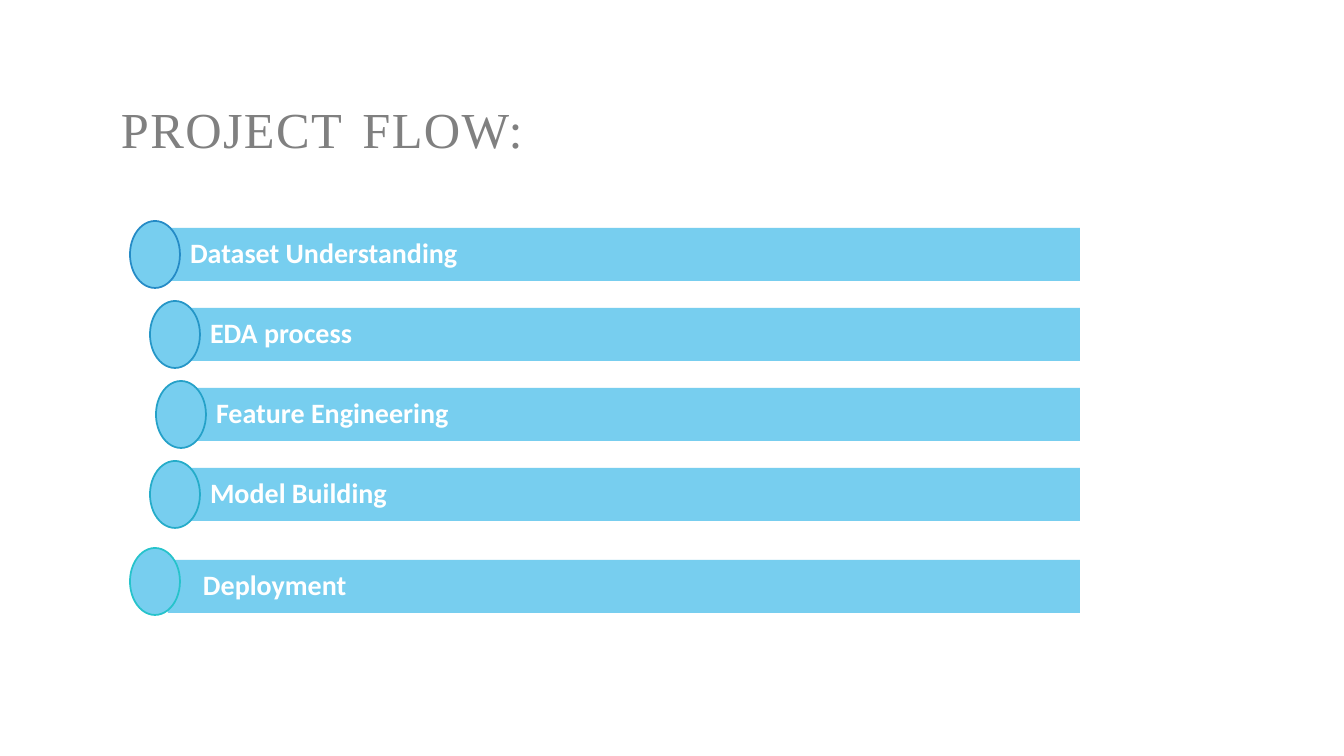
from dataclasses import dataclass

from pptx import Presentation
from pptx.dml.color import RGBColor
from pptx.enum.shapes import MSO_SHAPE as Preset
from pptx.enum.text import MSO_ANCHOR as Anchor, MSO_AUTO_SIZE as AutoSize, PP_ALIGN as Align
from pptx.util import Emu, Pt

PX = 914400 / 100.8


@dataclass(frozen=True)
class Theme:
    heading: str = "808080"
    band: str = "77CEEF"
    label: str = "FFFFFF"
    heading_font: str = "Times New Roman"
    label_font: str = "Calibri"
    heading_size: int = 36
    gap_size: int = 50
    label_size: int = 20
    outline: float = 1.25


THEME = Theme()

BAND_RIGHT, BAND_HEIGHT = 1080, 53
MARKER_WIDTH, MARKER_HEIGHT = 50, 67

# Step, marker centre x, marker top, band left, band top, marker outline
STEPS = [
    ("Dataset Understanding", 155, 221, 155, 228, "258BC6"),
    ("EDA process", 175, 301, 175, 308, "2596C7"),
    ("Feature Engineering", 181, 381, 181, 388, "25A1C8"),
    ("Model Building", 175, 461, 175, 468, "25ACC9"),
    ("Deployment", 155, 548, 168, 560, "26C3CB"),
]


def px(length):
    return Emu(round(length * PX))


def rgb(code):
    return RGBColor.from_string(code)


def add_run(paragraph, text, font, size, color, bold=False):
    run = paragraph.add_run()
    run.text = text
    run.font.name = font
    run.font.size = Pt(size)
    run.font.bold = bold
    run.font.color.rgb = rgb(color)
    return run


def set_insets(frame, left, top, right, bottom):
    frame.margin_left, frame.margin_top = px(left), px(top)
    frame.margin_right, frame.margin_bottom = px(right), px(bottom)


def add_heading(slide):
    heading = slide.shapes.title
    heading.left, heading.top = px(111), px(54)
    heading.width, heading.height = px(998), px(114)
    frame = heading.text_frame
    frame.word_wrap = True
    frame.auto_size = AutoSize.NONE
    frame.vertical_anchor = Anchor.BOTTOM
    set_insets(frame, 10, 5, 10, 5)
    paragraph = frame.paragraphs[0]
    paragraph.alignment = Align.LEFT
    paragraph.line_spacing = 0.85
    words = [
        ("PROJECT", THEME.heading_size, False),
        (" ", THEME.gap_size, True),
        ("FLOW:", THEME.heading_size, False),
    ]
    for text, size, bold in words:
        run = add_run(paragraph, text, THEME.heading_font, size, THEME.heading, bold)
        run.font._element.set("spc", "100")  # one point of letter spacing


def add_filled(slide, preset, left, top, width, height):
    shape = slide.shapes.add_shape(preset, px(left), px(top), px(width), px(height))
    shape.shadow.inherit = False
    shape.fill.solid()
    shape.fill.fore_color.rgb = rgb(THEME.band)
    return shape


def add_band(slide, step, left, top):
    band = add_filled(slide, Preset.RECTANGLE, left, top, BAND_RIGHT - left, BAND_HEIGHT)
    band.line.fill.background()
    frame = band.text_frame
    frame.word_wrap = True
    frame.vertical_anchor = Anchor.MIDDLE
    set_insets(frame, 35, 6, 6, 6)
    paragraph = frame.paragraphs[0]
    paragraph.alignment = Align.LEFT
    paragraph.line_spacing = 0.9
    add_run(paragraph, step, THEME.label_font, THEME.label_size, THEME.label, bold=True)


def add_marker(slide, center, top, outline):
    marker = add_filled(slide, Preset.OVAL, center - MARKER_WIDTH / 2, top,
                        MARKER_WIDTH, MARKER_HEIGHT)
    marker.line.color.rgb = rgb(outline)
    marker.line.width = Pt(THEME.outline)


def main():
    deck = Presentation()
    deck.slide_width, deck.slide_height = px(1344), px(756)
    slide = deck.slides.add_slide(deck.slide_layouts.get_by_name("Title Only"))

    # Heading
    add_heading(slide)

    # Steps along the curve, each a band with its marker in front
    for step, center, marker_top, band_left, band_top, outline in STEPS:
        add_band(slide, step, band_left, band_top)
        add_marker(slide, center, marker_top, outline)

    deck.save("out.pptx")


if __name__ == "__main__":
    main()
